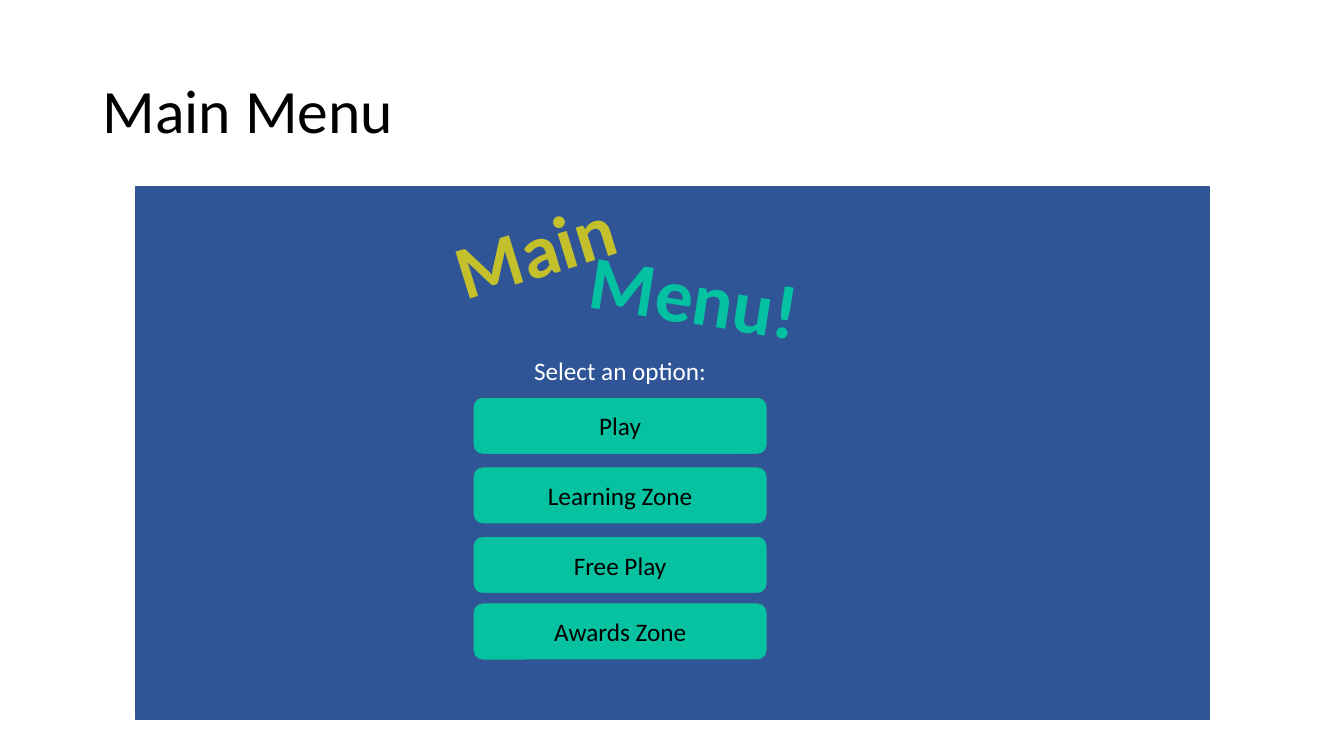
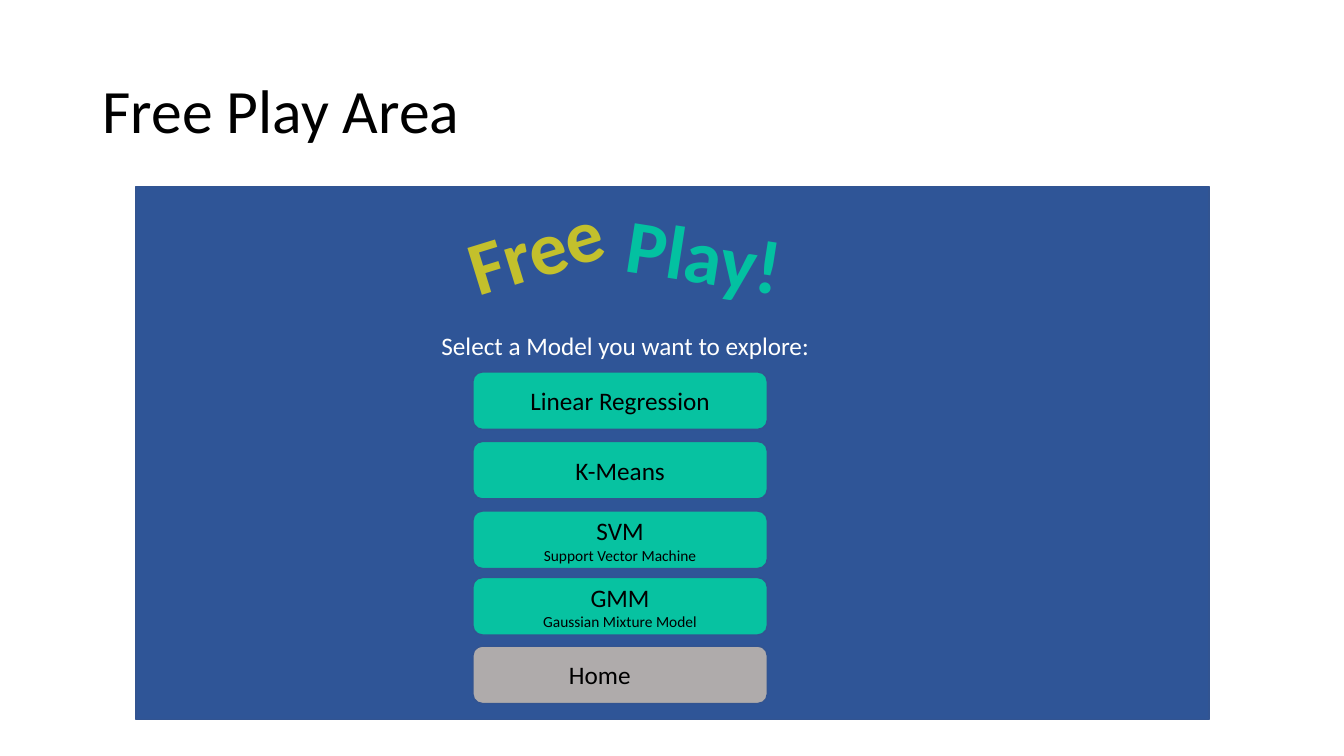
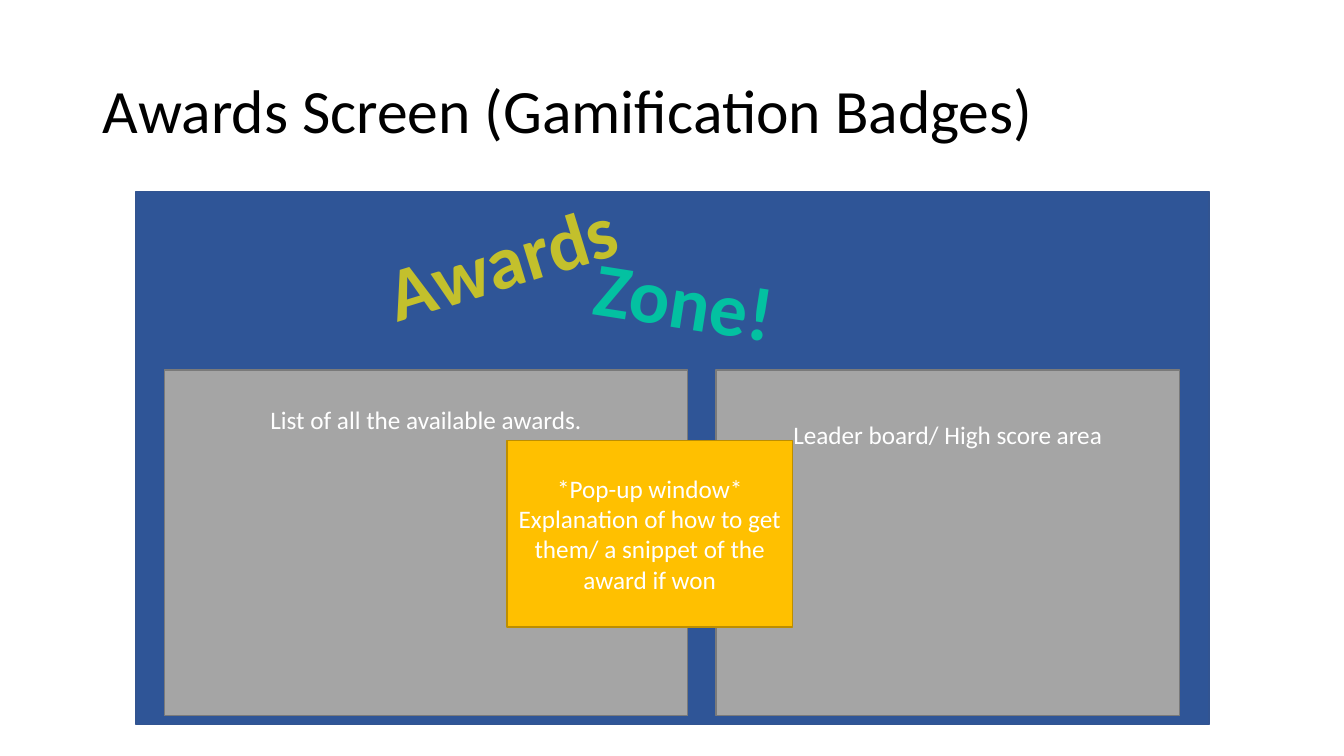
from dataclasses import dataclass
from pptx import Presentation
from pptx.dml.color import RGBColor
from pptx.enum.shapes import MSO_SHAPE as Preset
from pptx.enum.text import MSO_ANCHOR as Anchor, PP_ALIGN as Align
from pptx.util import Inches, Pt


@dataclass(frozen=True)
class Theme:
    font: str = "Calibri"
    black: str = "000000"
    white: str = "FFFFFF"
    panel: str = "2F5597"
    edge: str = "325491"
    yellow: str = "C3C02C"
    green: str = "03C1A1"
    button: str = "07C2A1"
    home: str = "AFABAB"
    gray: str = "A5A5A5"
    gray_edge: str = "7A7A7A"
    popup: str = "FFC000"
    popup_edge: str = "BD8E00"
    title_size: int = 44
    word_size: int = 54
    body_size: int = 18
    note_size: int = 11


THEME = Theme()
BUTTON_LEFT, BUTTON_WIDTH, BUTTON_HEIGHT = 4.69, 2.92, 0.57
BUTTON_OFFSETS = (0, 0.69, 1.38, 2.04)
PROMPT_RISE = 0.46


def rgb(value):
    return RGBColor.from_string(value)


def write(box, lines, color, align=Align.CENTER, anchor=Anchor.MIDDLE, bold=False):
    frame = box.text_frame
    frame.word_wrap = True
    frame.vertical_anchor = anchor
    for index, (text, size) in enumerate(lines):
        para = frame.paragraphs[0] if index == 0 else frame.add_paragraph()
        para.text = text
        para.alignment = align
        font = para.font
        font.name, font.size, font.bold = THEME.font, Pt(size), bold
        font.color.rgb = rgb(color)
    return frame


def add_box(page, area, fill, edge, preset=Preset.RECTANGLE):
    box = page.shapes.add_shape(preset, *map(Inches, area))
    box.shadow.inherit = False
    box.fill.solid()
    box.fill.fore_color.rgb = rgb(fill)
    box.line.color.rgb = rgb(edge)
    box.line.width = Pt(1)
    return box


def add_text(page, area, text, size, color, **style):
    box = page.shapes.add_textbox(*map(Inches, area))
    write(box, [(text, size)], color, **style)
    return box


def add_page(deck, title, panel_top=1.85):
    page = deck.slides.add_slide(deck.slide_layouts[6])
    heading = add_text(page, (0.92, 0.4, 11.5, 1.45), title, THEME.title_size,
                       THEME.black, align=Align.LEFT)
    heading.text_frame.paragraphs[0].line_spacing = 0.9
    add_box(page, (1.35, panel_top, 10.64, 5.29), THEME.panel, THEME.edge)
    return page


def add_banner(page, first, second):
    styles = ((THEME.yellow, -17.1), (THEME.green, 8.9))
    for (text, left, top, width), (color, angle) in zip((first, second), styles):
        word = add_text(page, (left, top, width, 1.01), text, THEME.word_size, color,
                        anchor=Anchor.TOP, bold=True)
        word.text_frame.word_wrap = False
        word.rotation = angle


def add_button(page, top, label, note=None, fill=THEME.button):
    button = add_box(page, (BUTTON_LEFT, top, BUTTON_WIDTH, BUTTON_HEIGHT), fill,
                     THEME.edge, Preset.ROUNDED_RECTANGLE)
    lines = [(label, THEME.body_size)]
    if note:
        lines.append((note, THEME.note_size))
    return write(button, lines, THEME.black)


def add_menu(page, top, prompt, prompt_left, align, options):
    add_text(page, (prompt_left, top - PROMPT_RISE, 3.9, 0.4), prompt,
             THEME.body_size, THEME.white, align=align, anchor=Anchor.TOP)
    for offset, option in zip(BUTTON_OFFSETS, options):
        add_button(page, top + offset, *option)


def add_area(page, left, width, text, inset):
    area = add_box(page, (left, 3.67, width, 3.43), THEME.gray, THEME.gray_edge)
    frame = write(area, [(text, THEME.body_size)], THEME.white, anchor=Anchor.TOP)
    frame.margin_top = Inches(inset)


def build_main_menu(deck):
    page = add_page(deck, "Main Menu")
    add_banner(page, ("Main", 4.38, 1.96, 1.85), ("Menu!", 5.74, 2.42, 2.31))
    add_menu(page, 3.94, "Select an option:", 4.2, Align.CENTER,
             [("Play",), ("Learning Zone",), ("Free Play",), ("Awards Zone",)])


def build_free_play(deck):
    page = add_page(deck, "Free Play Area")
    add_banner(page, ("Free", 4.38, 1.96, 1.85), ("Play!", 6.11, 2.02, 1.76))
    add_menu(page, 3.69, "Select a Model you want to explore:", 4.28, Align.LEFT,
             [("Linear Regression",), ("K-Means",),
              ("SVM", "Support Vector Machine"), ("GMM", "Gaussian Mixture Model")])
    home = add_button(page, 6.41, "Home", fill=THEME.home)
    home.margin_right = Inches(0.5)


def build_awards(deck):
    page = add_page(deck, "Awards Screen (Gamification Badges)", panel_top=1.9)
    add_banner(page, ("Awards", 3.7, 2.07, 2.55), ("Zone!", 5.79, 2.46, 2))
    add_area(page, 1.63, 5.19, "List of all the available awards.", 0.34)
    add_area(page, 7.1, 4.6, "Leader board/ High score area", 0.49)
    popup = add_box(page, (5.03, 4.37, 2.83, 1.85), THEME.popup, THEME.popup_edge)
    explanation = "Explanation of how to get them/ a snippet of the award if won"
    write(popup, [(text, THEME.body_size) for text in ("*Pop-up window*", explanation)],
          THEME.white)


def main():
    deck = Presentation()
    deck.slide_width, deck.slide_height = Inches(13.33), Inches(7.5)
    for build in (build_main_menu, build_free_play, build_awards):
        build(deck)
    deck.save("out.pptx")


if __name__ == "__main__":
    main()
